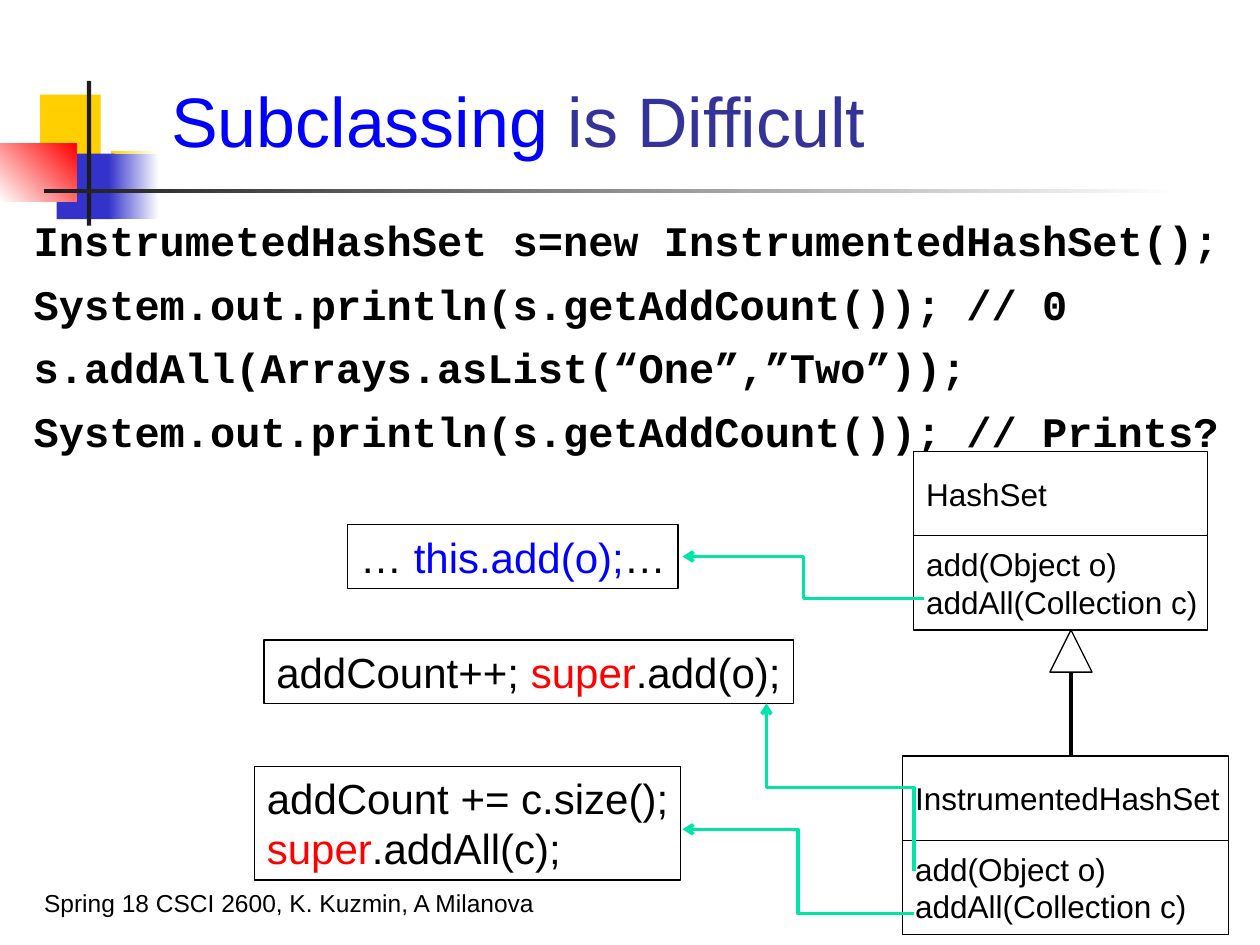
from lxml import etree
from pptx import Presentation
from pptx.dml.color import RGBColor
from pptx.enum.shapes import MSO_CONNECTOR, MSO_SHAPE
from pptx.enum.text import MSO_ANCHOR, PP_ALIGN
from pptx.oxml.ns import qn
from pptx.util import Cm, Pt

RECT, TRIANGLE = MSO_SHAPE.RECTANGLE, MSO_SHAPE.ISOSCELES_TRIANGLE
STRAIGHT, ELBOW = MSO_CONNECTOR.STRAIGHT, MSO_CONNECTOR.ELBOW
TOP, MIDDLE, BOTTOM = MSO_ANCHOR.TOP, MSO_ANCHOR.MIDDLE, MSO_ANCHOR.BOTTOM
LEFT = PP_ALIGN.LEFT

BLACK = RGBColor(0x00, 0x00, 0x00)
WHITE = RGBColor(0xFF, 0xFF, 0xFF)
CHAR = RGBColor(0x1C, 0x1C, 0x1C)
GOLD = RGBColor(0xFF, 0xCF, 0x01)
NAVY = RGBColor(0x33, 0x33, 0xCC)
INDIGO = RGBColor(0x33, 0x33, 0x99)
BLUE = RGBColor(0x00, 0x00, 0xFF)
RED = RGBColor(0xFF, 0x00, 0x00)
MINT = RGBColor(0x00, 0xE4, 0xA8)

CODE = [
    "InstrumetedHashSet s=new InstrumentedHashSet();",
    "System.out.println(s.getAddCount()); // 0",
    "s.addAll(Arrays.asList(“One”,”Two”));",
    "System.out.println(s.getAddCount()); // Prints?",
]
METHODS = ["add(Object o)", "addAll(Collection c)"]


def put_text(shape, lines, size, font="Arial", bold=False, anchor=TOP, gap=0):
    """Fill a shape with lines; a line is a string or a list of (text, colour)."""
    frame = shape.text_frame
    frame.word_wrap = True
    frame.vertical_anchor = anchor
    frame.margin_right = 0
    for i, line in enumerate(lines):
        para = frame.add_paragraph() if i else frame.paragraphs[0]
        para.alignment = LEFT
        para.space_before = Pt(gap)
        for text, color in [(line, BLACK)] if isinstance(line, str) else line:
            run = para.add_run()
            run.text = text
            run.font.name, run.font.size = font, Pt(size)
            run.font.bold, run.font.color.rgb = bold, color


def text_box(slide, box, lines, size, **style):
    shape = slide.shapes.add_textbox(*map(Cm, box))
    put_text(shape, lines, size, **style)


def outlined(slide, box, kind=RECT, fill=None):
    shape = slide.shapes.add_shape(kind, *map(Cm, box))
    shape.shadow.inherit = False
    if fill is None:
        shape.fill.background()
    else:
        shape.fill.solid()
        shape.fill.fore_color.rgb = fill
    shape.line.color.rgb, shape.line.width = BLACK, Pt(0.75)
    return shape


def block(slide, box, start, end=None, angle=0):
    """Borderless bar, plain or fading from start to end."""
    shape = slide.shapes.add_shape(RECT, *map(Cm, box))
    shape.shadow.inherit = False
    shape.line.fill.background()
    if end is None:
        shape.fill.solid()
        shape.fill.fore_color.rgb = start
        return
    shape.fill.gradient()
    shape.fill.gradient_angle = angle
    for stop, color in zip(shape.fill.gradient_stops, (start, end)):
        stop.color.rgb = color


def link(slide, kind, ends, color, arrow=False):
    line = slide.shapes.add_connector(kind, *map(Cm, ends))
    line.line.color.rgb, line.line.width = color, Pt(2)
    if arrow:
        etree.SubElement(line.line._get_or_add_ln(), qn("a:tailEnd"), type="arrow")
    etree.SubElement(line._element.spPr, qn("a:effectLst"))
    return line


def ornament(slide, x, y):
    for dx, dy, w, h, *paint in (
        (0.81, 0.28, 1.22, 1.32, GOLD),
        (2.24, 1.42, 0.91, 1.32, GOLD, WHITE),
        (1.14, 1.47, 1.17, 1.32, NAVY),
        (2.18, 1.47, 1.02, 1.32, NAVY, WHITE),
        (0, 1.27, 1.55, 1.17, WHITE, RED, 45),
        (1.75, 0, 0.09, 2.92, CHAR),
        (0.89, 2.18, 22.86, 0.08, CHAR, WHITE),
    ):
        block(slide, (x + dx, y + dy, w, h), *paint)


def class_box(slide, x, y, w, name):
    head, body = 1.7, 1.9
    for top, high, lines in ((y, head, [name]), (y + head, body, METHODS)):
        cell = outlined(slide, (x, top, w, high), fill=WHITE)
        put_text(cell, lines, 18, anchor=MIDDLE)


def inherit_mark(slide, x, y, high):
    """Hollow arrowhead with its tip at x, y and a stem below."""
    side = 0.85
    outlined(slide, (x - side / 2, y, side, side), TRIANGLE, WHITE)
    link(slide, STRAIGHT, (x, y + side, x, y + high), BLACK)


def snippet(slide, box, lines):
    put_text(outlined(slide, box), lines, 24)


def rising_link(slide, x1, y1, x2, y2):
    """Elbow that leaves and arrives vertically: a quarter turn about its centre."""
    mx, my = (x1 + x2) / 2, (y1 + y2) / 2
    w, h = abs(y2 - y1), abs(x2 - x1)
    ends = (mx - w / 2, my + h / 2, mx + w / 2, my - h / 2)
    line = link(slide, ELBOW, ends, MINT, arrow=True)
    line.rotation = 270
    line._element.spPr.find(qn("a:xfrm")).set("rot", "16200000")


def diagram(slide):
    class_box(slide, 18.42, 9.1, 5.92, "HashSet")
    class_box(slide, 18.2, 15.24, 6.56, "InstrumentedHashSet")
    inherit_mark(slide, 21.59, 12.7, 2.54)
    snippet(slide, (5.13, 15.45, 8.59, 2.29),
            ["addCount += c.size();", [("super", RED), (".addAll(c);", BLACK)]])
    snippet(slide, (7.01, 10.58, 6.66, 1.28),
            [[("… ", BLACK), ("this.add(o);", BLUE), ("…", BLACK)]])
    link(slide, ELBOW, (18.63, 12.07, 13.76, 11.22), MINT, arrow=True)
    link(slide, ELBOW, (18.42, 18.42, 13.76, 16.72), MINT, arrow=True)
    snippet(slide, (5.32, 12.9, 10.68, 1.28),
            [[("addCount++; ", BLACK), ("super", RED), (".add(o);", BLACK)]])
    rising_link(slide, 18.42, 17.57, 15.45, 14.18)


def main():
    deck = Presentation()
    deck.slide_width, deck.slide_height = Cm(25.4), Cm(19.05)
    slide = deck.slides.add_slide(deck.slide_layouts[6])
    ornament(slide, 0, 1.63)
    text_box(slide, (3.2, 0.58, 21.64, 2.8),
             [[("Subclassing", BLUE), (" is Difficult", INDIGO)]], 40, anchor=BOTTOM)
    text_box(slide, (0.43, 4.2, 24.77, 12.6), CODE, 24,
             font="Courier New", bold=True, gap=7.5)
    text_box(slide, (0.64, 17.35, 13.13, 1.27),
             ["Spring 18 CSCI 2600, K. Kuzmin, A Milanova"], 14, anchor=BOTTOM)
    diagram(slide)
    deck.save("out.pptx")


if __name__ == "__main__":
    main()
